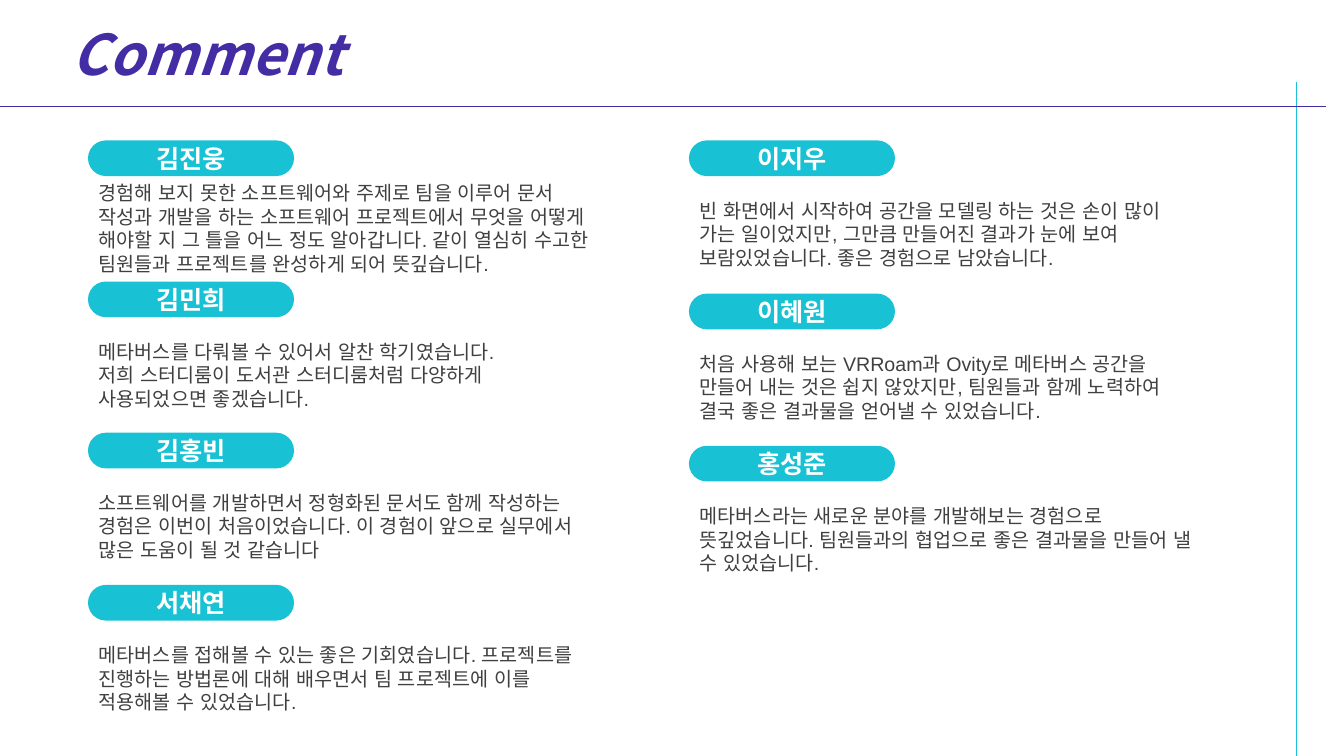
from pptx import Presentation
from pptx.dml.color import RGBColor
from pptx.enum.lang import MSO_LANGUAGE_ID
from pptx.enum.shapes import MSO_CONNECTOR, MSO_SHAPE
from pptx.enum.text import MSO_ANCHOR, MSO_AUTO_SIZE, PP_ALIGN
from pptx.oxml.ns import qn
from pptx.util import Inches, Pt
from lxml import etree

PURPLE = RGBColor(0x44, 0x2C, 0xA4)
TEAL = RGBColor(0x18, 0xC1, 0xD4)
GRAY = RGBColor(0x40, 0x40, 0x40)
WHITE = RGBColor(0xFF, 0xFF, 0xFF)
HEAD_FONT = "Noto Sans CJK KR"

TITLE = dict(name=HEAD_FONT, size=Pt(40), bold=True, italic=True)
NAME = dict(name=HEAD_FONT, size=Pt(18), bold=True)
BODY = dict(name="Arial", size=Pt(14))

PILL_W, PILL_H = 2.03, 0.34
LEFT_X, RIGHT_X = 0.88, 6.84

# left, pill top, gap to the comment, comment width and height, name, paragraphs
COMMENTS = [
    (LEFT_X, 1.4, 0.35, 5.3, 1.04, "김진웅", [
        "경험해 보지 못한 소프트웨어와 주제로 팀을 이루어 문서 작성과 개발을 하는 "
        "소프트웨어 프로젝트에서 무엇을 어떻게 해야할 지 그 틀을 어느 정도 알아갑니다. "
        "같이 열심히 수고한 팀원들과 프로젝트를 완성하게 되어 뜻깊습니다."]),
    (LEFT_X, 2.8, 0.52, 5.12, 0.81, "김민희", [
        "메타버스를 다뤄볼 수 있어서 알찬 학기였습니다.",
        "저희 스터디룸이 도서관 스터디룸처럼 다양하게 사용되었으면 좋겠습니다."]),
    (LEFT_X, 4.3, 0.52, 5.12, 0.81, "김홍빈", [
        "소프트웨어를 개발하면서 정형화된 문서도 함께 작성하는 경험은 이번이 "
        "처음이었습니다. 이 경험이 앞으로 실무에서 많은 도움이 될 것 같습니다"]),
    (LEFT_X, 5.81, 0.52, 5.12, 0.81, "서채연", [
        "메타버스를 접해볼 수 있는 좋은 기회였습니다. 프로젝트를 진행하는 방법론에 "
        "대해 배우면서 팀 프로젝트에 이를 적용해볼 수 있었습니다."]),
    (RIGHT_X, 1.4, 0.52, 5.12, 0.81, "이지우", [
        "빈 화면에서 시작하여 공간을 모델링 하는 것은 손이 많이 가는 일이었지만, "
        "그만큼 만들어진 결과가 눈에 보여 보람있었습니다. 좋은 경험으로 남았습니다."]),
    (RIGHT_X, 2.92, 0.52, 5.12, 0.81, "이혜원", [
        "처음 사용해 보는 VRRoam과 Ovity로 메타버스 공간을 만들어 내는 것은 쉽지 "
        "않았지만, 팀원들과 함께 노력하여 결국 좋은 결과물을 얻어낼 수 있었습니다."]),
    (RIGHT_X, 4.43, 0.52, 5.12, 0.81, "홍성준", [
        "메타버스라는 새로운 분야를 개발해보는 경험으로 뜻깊었습니다. 팀원들과의 "
        "협업으로 좋은 결과물을 만들어 낼 수 있었습니다."]),
]


def write_text(tf, paragraphs, fmt, color, align=PP_ALIGN.LEFT):
    """Fill a text frame, using one font for Latin and Korean letters."""
    tf.word_wrap = True
    for i, text in enumerate(paragraphs):
        p = tf.add_paragraph() if i else tf.paragraphs[0]
        p.alignment = align
        r = p.add_run()
        r.text = text
        for key, value in fmt.items():
            setattr(r.font, key, value)
        r.font.color.rgb = color
        r.font.language_id = MSO_LANGUAGE_ID.KOREAN
        ea = etree.SubElement(r.font._element, qn("a:ea"))
        ea.set("typeface", fmt["name"])


prs = Presentation()
prs.slide_width, prs.slide_height = Inches(13.33), Inches(7.5)
s = prs.slides.add_slide(prs.slide_layouts[5])

for x1, y1, x2, y2, color in [(12.86, 0.81, 12.86, 7.5, TEAL),
                              (0, 1.06, 13.15, 1.06, PURPLE)]:
    line = s.shapes.add_connector(MSO_CONNECTOR.STRAIGHT, Inches(x1), Inches(y1),
                                  Inches(x2), Inches(y2))
    line.line.color.rgb = color
    line.line.width = Pt(0.5)
    etree.SubElement(line._element.spPr, qn("a:effectLst"))

title = s.shapes.title
title.left, title.top = Inches(0.61), Inches(0.14)
title.width, title.height = Inches(6.84), Inches(0.77)
title.text_frame.auto_size = MSO_AUTO_SIZE.NONE
title.text_frame.vertical_anchor = MSO_ANCHOR.MIDDLE
write_text(title.text_frame, ["Comment"], TITLE, PURPLE)

for x, y, gap, w, h, name, paragraphs in COMMENTS:
    pill = s.shapes.add_shape(MSO_SHAPE.ROUNDED_RECTANGLE, Inches(x), Inches(y),
                              Inches(PILL_W), Inches(PILL_H))
    pill.adjustments[0] = 0.5
    pill.shadow.inherit = False
    pill.fill.solid()
    pill.fill.fore_color.rgb = TEAL
    pill.line.color.rgb = TEAL
    pill.line.width = Pt(1)
    pill.text_frame.vertical_anchor = MSO_ANCHOR.MIDDLE
    write_text(pill.text_frame, [name], NAME, WHITE, PP_ALIGN.CENTER)

    box = s.shapes.add_textbox(Inches(x), Inches(y + gap), Inches(w), Inches(h))
    write_text(box.text_frame, paragraphs, BODY, GRAY)

prs.save("out.pptx")
